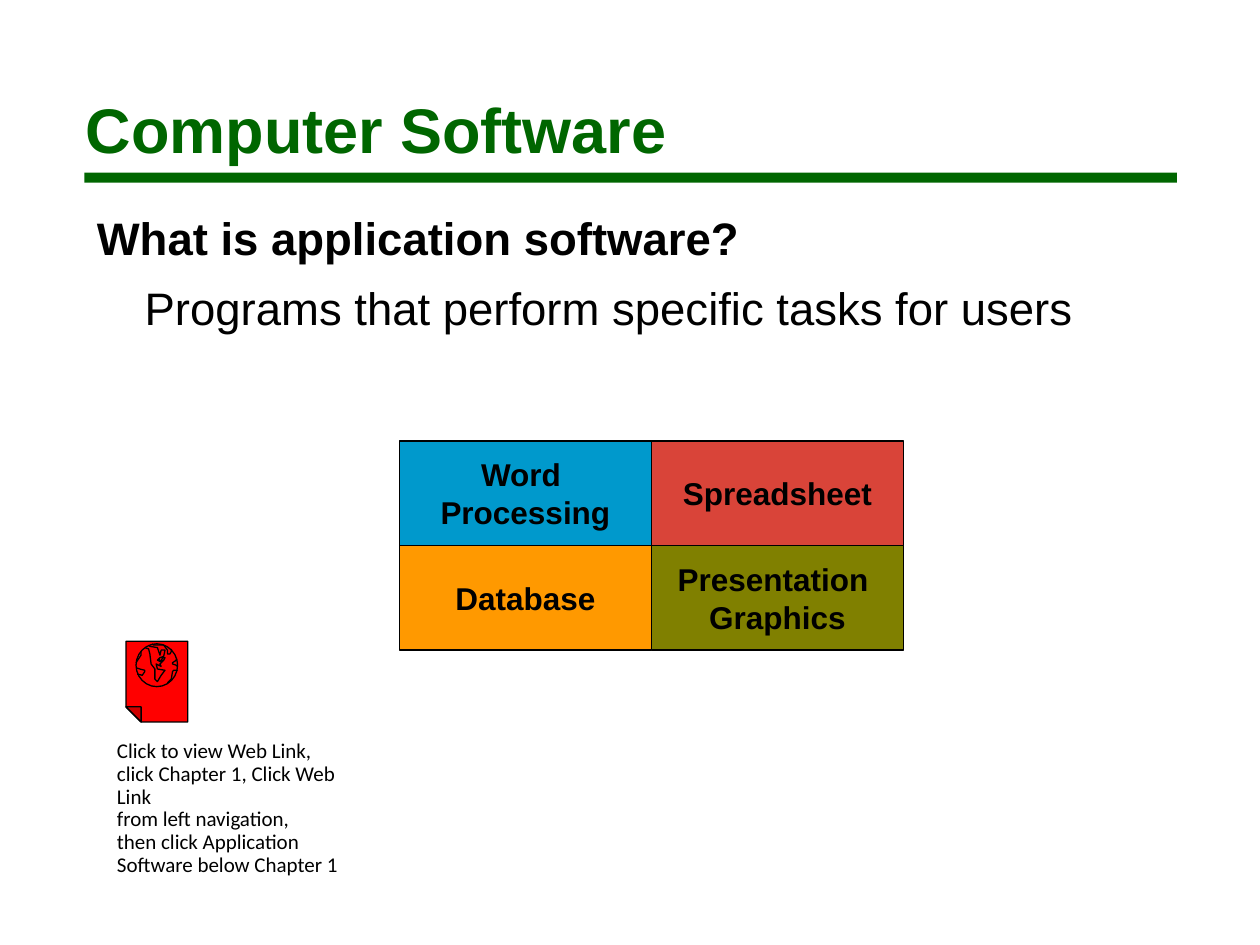
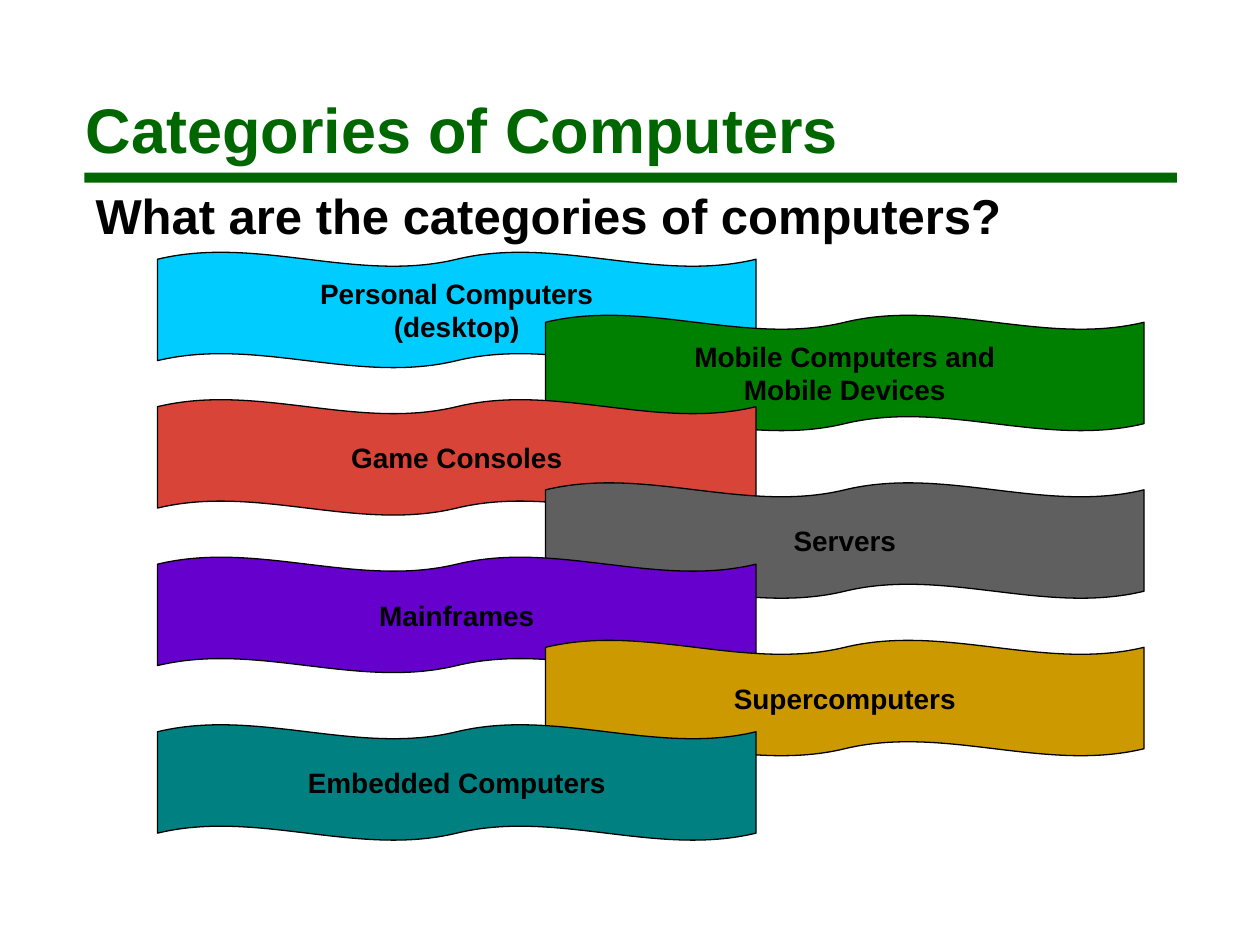
from dataclasses import dataclass

from lxml import etree
from pptx import Presentation
from pptx.dml.color import RGBColor
from pptx.enum.shapes import MSO_SHAPE
from pptx.enum.text import MSO_ANCHOR, MSO_AUTO_SIZE, PP_ALIGN
from pptx.oxml.ns import qn
from pptx.util import Inches, Pt

RECT, WAVE, OVAL = MSO_SHAPE.RECTANGLE, MSO_SHAPE.DOUBLE_WAVE, MSO_SHAPE.OVAL
TOP, MIDDLE = MSO_ANCHOR.TOP, MSO_ANCHOR.MIDDLE
LEFT, CENTER = PP_ALIGN.LEFT, PP_ALIGN.CENTER
FIXED = MSO_AUTO_SIZE.NONE
TITLE_ONLY = 5


@dataclass(frozen=True)
class Theme:
    font: str = "Arial"
    note_font: str = "Calibri"
    green: str = "006600"
    ink: str = "000000"
    red: str = "D94439"
    page: str = "FF0000"
    fold: str = "CD0000"
    title: float = 36
    lead: float = 28
    body: float = 26
    cell: float = 18
    band: float = 16
    note: float = 12
    line: float = 0.75


@dataclass(frozen=True)
class Box:
    x: float
    y: float
    w: float
    h: float

    def emu(self) -> tuple:
        return tuple(Inches(v) for v in (self.x, self.y, self.w, self.h))


@dataclass(frozen=True)
class Style:
    size: float
    bold: bool = False
    color: str = Theme.ink
    font: str = Theme.font
    align: int = LEFT
    anchor: int = TOP
    wrap: bool = True
    before: float = 0
    spacing: float = 1


@dataclass(frozen=True)
class Cell:
    text: str
    fill: str


@dataclass(frozen=True)
class Band:
    text: str
    fill: str
    top: float


THEME = Theme()
HEAD = Style(THEME.title, True, THEME.green)
LABEL = Style(THEME.cell, True, align=CENTER, anchor=MIDDLE, wrap=False)
BANNER = Style(THEME.band, True, align=CENTER, anchor=MIDDLE, wrap=False)
NOTE = Style(THEME.note, font=THEME.note_font, spacing=0.9)

CELLS = [
    Cell("Word \nProcessing", "0099CC"),
    Cell("Spreadsheet", THEME.red),
    Cell("Database", "FF9900"),
    Cell("Presentation \nGraphics", "808000"),
]
BANDS = [
    Band("Personal Computers\n(desktop)", "00CCFF", 2),
    Band("Mobile Computers and\nMobile Devices", "008000", 2.5),
    Band("Game Consoles", THEME.red, 3.17),
    Band("Servers", "5F5F5F", 3.83),
    Band("Mainframes", "6600CC", 4.42),
    Band("Supercomputers", "CC9900", 5.08),
    Band("Embedded Computers", "008080", 5.75),
]

# Icon outlines, in hundredths of an inch
PAGE = [(100, 509), (149, 509), (149, 573), (112, 573), (100, 561)]
FOLD = [(100, 561), (112, 561), (112, 573)]
LAND = [
    [(121, 511), (122, 512), (130, 512), (133, 516), (133, 519), (135, 519),
     (136, 517), (136, 515)],
    [(108, 526), (110, 523), (112, 520), (112, 517)],
    [(108, 530), (111, 531), (115, 532), (115, 533), (113, 536), (109, 535)],
    [(133, 542), (136, 539), (137, 533), (138, 532), (141, 532)],
    [(141, 529), (140, 528), (137, 527), (137, 526), (140, 524), (140, 523)],
    [(118, 512), (119, 513), (125, 514), (126, 517), (127, 520), (128, 516),
     (131, 516), (130, 521), (127, 522), (125, 524), (127, 525), (126, 523),
     (128, 525), (129, 522), (131, 522), (130, 524), (128, 526), (127, 527),
     (128, 529), (126, 528), (124, 527), (125, 531), (131, 532), (128, 536),
     (125, 541), (123, 539), (123, 531), (120, 527), (119, 519), (118, 515),
     (115, 514)],
]


def write(frame, paras: list[str], style: Style, indent: float = 0) -> None:
    frame.auto_size = FIXED
    frame.word_wrap = style.wrap
    frame.vertical_anchor = style.anchor
    for i, text in enumerate(paras):
        para = frame.paragraphs[0] if i == 0 else frame.add_paragraph()
        para.text = text
        para.alignment = style.align
        para.space_before = Pt(style.before)
        para.line_spacing = style.spacing
        if indent:
            para._p.get_or_add_pPr().set("marL", str(Inches(indent)))
        for run in para.runs:
            font = run.font
            font.name, font.size, font.bold = style.font, Pt(style.size), style.bold
            font.color.rgb = RGBColor.from_string(style.color)


def paint(shape, fill: str | None, line: str | None = THEME.ink) -> None:
    shape.shadow.inherit = False
    if fill:
        shape.fill.solid()
        shape.fill.fore_color.rgb = RGBColor.from_string(fill)
    else:
        shape.fill.background()
    if line:
        shape.line.color.rgb = RGBColor.from_string(line)
        shape.line.width = Pt(THEME.line)
    else:
        shape.line.fill.background()


def block(slide, kind: int, box: Box, fill: str | None,
          line: str | None = THEME.ink):
    shape = slide.shapes.add_shape(kind, *box.emu())
    paint(shape, fill, line)
    return shape


def label(slide, box: Box, paras: list[str], style: Style,
          indent: float = 0) -> None:
    write(slide.shapes.add_textbox(*box.emu()).text_frame, paras, style, indent)


def trace(slide, paths: list[list], fill: str | None) -> None:
    """Draw outlines as one freeform; they close only when filled."""
    pen = slide.shapes.build_freeform(*paths[0][0], scale=Inches(0.01))
    for i, points in enumerate(paths):
        if i:
            pen.move_to(*points[0])
        pen.add_line_segments(points[1:], close=bool(fill))
    paint(pen.convert_to_shape(), fill)


def start(deck, title: str):
    """Add a slide with the shared title and rule."""
    slide = deck.slides.add_slide(deck.slide_layouts[TITLE_ONLY])
    head = slide.shapes.title
    head.left, head.top, head.width, head.height = Box(0.58, 0.67, 8.75, 0.7).emu()
    write(head.text_frame, [title], HEAD)
    block(slide, RECT, Box(0.67, 1.37, 8.67, 0.08), THEME.green, None)
    return slide


def icon(slide) -> None:
    trace(slide, [PAGE], THEME.page)
    trace(slide, [FOLD], THEME.fold)
    block(slide, OVAL, Box(1.08, 5.11, 0.33, 0.34), None)
    trace(slide, LAND, None)


def software(deck) -> None:
    slide = start(deck, "Computer Software")
    label(slide, Box(0.67, 1.62, 5.67, 0.88), ["What is application software?"],
          Style(THEME.body, True, before=6.5))
    label(slide, Box(0.92, 2.17, 8.75, 1),
          ["Programs that perform specific tasks for users"],
          Style(THEME.body, before=6.5), indent=0.13)
    wide, high = 2, 0.83
    for i, cell in enumerate(CELLS):
        row, col = divmod(i, 2)
        box = Box(3.17 + col * wide, 3.5 + row * high, wide, high)
        write(block(slide, RECT, box, cell.fill).text_frame, [cell.text], LABEL)
    icon(slide)
    label(slide, Box(0.83, 5.83, 2.17, 0.67), [
        "Click to view Web Link,\nclick Chapter 1, Click Web Link\n"
        "from left navigation,",
        "then click Application Software below Chapter 1",
    ], NOTE)


def kinds(deck) -> None:
    slide = start(deck, "Categories of Computers")
    label(slide, Box(0.66, 1.42, 7.38, 1.04),
          ["What are the categories of computers?"],
          Style(THEME.lead, True, wrap=False, before=7))
    for i, band in enumerate(BANDS):
        box = Box(4.33 if i % 2 else 1.25, band.top, 4.75, 0.92)
        write(block(slide, WAVE, box, band.fill).text_frame, [band.text], BANNER)


def main() -> None:
    deck = Presentation()
    deck.slide_width, deck.slide_height = Inches(10), Inches(7.5)
    software(deck)
    kinds(deck)
    deck.save("out.pptx")


if __name__ == "__main__":
    main()
